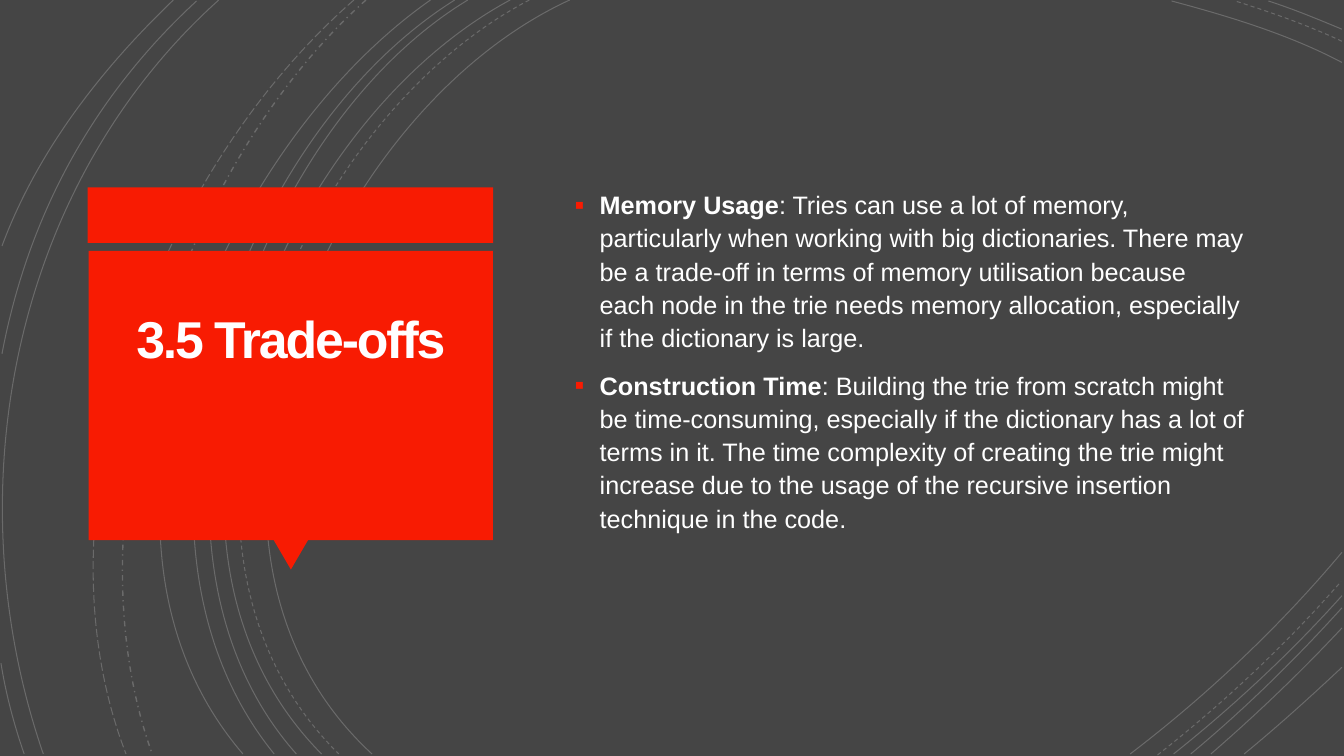
from lxml.etree import SubElement
from pptx import Presentation
from pptx.dml.color import RGBColor
from pptx.enum.dml import MSO_LINE
from pptx.enum.shapes import MSO_SHAPE
from pptx.enum.text import MSO_ANCHOR, PP_ALIGN
from pptx.oxml.ns import qn
from pptx.util import Inches, Pt

COLORS = {"ground": "454545", "accent": "F81B02", "white": "FFFFFF", "heading": "FFFEFF"}
FONT = "Arial"
HEADING = "3.5 Trade-offs"
TRADE_OFFS = [
    ("Memory Usage", ": Tries can use a lot of memory, particularly when working with big "
     "dictionaries. There may be a trade-off in terms of memory utilisation because each node "
     "in the trie needs memory allocation, especially if the dictionary is large."),
    ("Construction Time", ": Building the trie from scratch might be time-consuming, especially "
     "if the dictionary has a lot of terms in it. The time complexity of creating the trie might "
     "increase due to the usage of the recursive insertion technique in the code."),
]
ARCS = {
    MSO_LINE.SOLID: [
        [(5.65, 0), (3.15, 1.15), (1.43, 5.4), (3.69, 7.48)],
        [(13.31, 0.62), (12.78, 0.34), (12.18, 0.16), (11.62, 0.01)],
        [(11.21, 7.48), (11.97, 6.9), (12.69, 6.22), (13.31, 5.48)],
        [(5.06, 0), (2.7, 1.27), (1.1, 5.37), (3.19, 7.48)],
        [(13.31, 0.29), (13.07, 0.19), (12.83, 0.09), (12.58, 0.01)],
        [(11.64, 7.48), (12.23, 7.01), (12.8, 6.48), (13.31, 5.91)],
        [(4.64, 0), (2.44, 1.33), (1.1, 5.41), (2.94, 7.48)],
        [(11.81, 7.48), (12.34, 7.04), (12.84, 6.55), (13.31, 6.03)],
        [(4.51, 0), (2.31, 1.38), (0.97, 5.33), (2.72, 7.48)],
        [(12.01, 7.48), (12.46, 7.09), (12.9, 6.67), (13.31, 6.23)],
        [(4.27, 0), (2.17, 1.47), (0.53, 5.29), (2.41, 7.48)],
        [(12.34, 7.48), (12.67, 7.21), (12.99, 6.92), (13.31, 6.62)],
        [(2.17, 0), (0.11, 1.85), (-0.46, 4.9), (0.43, 7.48)],
        [(1.95, 0.01), (0.92, 0.96), (0.28, 2.14), (0.02, 3.51)],
        [(0.01, 6.58), (0.06, 6.89), (0.14, 7.19), (0.24, 7.48)],
        [(1.72, 0), (1, 0.69), (0.37, 1.5), (0.02, 2.44)],
    ],
    MSO_LINE.DASH: [
        [(5.25, 0), (2.85, 1.25), (1.23, 5.37), (3.36, 7.48)],
        [(13.31, 0.41), (12.97, 0.25), (12.6, 0.12), (12.25, 0.01)],
        [(11.48, 7.49), (12.13, 6.98), (12.75, 6.4), (13.3, 5.77)],
    ],
    MSO_LINE.DASH_DOT: [[(3.63, 0), (1.76, 1.66), (0.65, 5.09), (1.51, 7.48)]],
    MSO_LINE.LONG_DASH: [[(3.51, 0), (1.57, 1.69), (0.29, 4.99), (1.25, 7.48)]],
}
BACKDROP = (MSO_SHAPE.RECTANGLE, (0, 0, 13.33, 7.48), 0, "ground")
CALLOUT = [
    (MSO_SHAPE.RECTANGLE, (0.87, 1.86, 4.02, 0.55), 0, "accent"),
    (MSO_SHAPE.ISOSCELES_TRIANGLE, (2.71, 5.35, 0.35, 0.3), 180, "accent"),
    (MSO_SHAPE.RECTANGLE, (0.88, 2.49, 4.01, 2.87), 0, "accent"),
]
HEADING_BOX = (0.97, 2.57, 3.83, 2.69)
TRADE_OFFS_BOX = (5.6, 0.88, 6.87, 5.74)


def color(name):
    return RGBColor.from_string(COLORS[name])


def box(lengths):
    return [Inches(length) for length in lengths]


def draw_block(shapes, kind, place, turn, fill):
    block = shapes.add_shape(kind, *box(place))
    block.rotation = turn
    block.shadow.inherit = False
    block.fill.solid()
    block.fill.fore_color.rgb = color(fill)
    block.line.fill.background()


def draw_arc(shapes, arc, dash):
    points = [tuple(box(point)) for point in arc]
    builder = shapes.build_freeform(*points[0])
    builder.add_line_segments(points[1:], close=False)
    curve = builder.convert_to_shape()
    outline = curve._element.find(".//" + qn("a:path"))
    bend = SubElement(outline, qn("a:cubicBezTo"))
    for segment in outline.findall(qn("a:lnTo")):
        bend.append(segment[0])
        outline.remove(segment)
    curve.shadow.inherit = False
    curve.fill.background()
    curve.line.color.rgb = color("white")
    curve.line.width = Pt(1 if dash == MSO_LINE.DASH_DOT else 0.75)
    curve.line.dash_style = dash
    tint = curve.line.fill._xPr.find(".//" + qn("a:srgbClr"))
    SubElement(tint, qn("a:alpha"), val="20000")


def add_bullet(paragraph):
    props = paragraph._p.get_or_add_pPr()
    props.set("marL", str(Inches(0.25)))
    props.set("indent", str(-Inches(0.25)))
    SubElement(SubElement(props, qn("a:buClr")), qn("a:srgbClr"), val=COLORS["accent"])
    SubElement(props, qn("a:buSzPct"), val="110000")
    SubElement(props, qn("a:buFont"), typeface=FONT)
    SubElement(props, qn("a:buChar"), char="▪")


deck = Presentation()
deck.slide_width, deck.slide_height = Inches(13.33), Inches(7.5)
slide = deck.slides.add_slide(deck.slide_layouts[5])
slide.background.fill.solid()
slide.background.fill.fore_color.rgb = color("ground")

draw_block(slide.shapes, *BACKDROP)
for dash, arcs in ARCS.items():
    for arc in arcs:
        draw_arc(slide.shapes, arc, dash)
for block in CALLOUT:
    draw_block(slide.shapes, *block)

heading = slide.shapes.title
slide.shapes._spTree.append(heading._element)
heading.left, heading.top, heading.width, heading.height = box(HEADING_BOX)
frame = heading.text_frame
frame.text = HEADING
frame.word_wrap = True
frame.vertical_anchor = MSO_ANCHOR.TOP
frame.margin_left = frame.margin_right = frame.margin_bottom = Inches(0.25)
frame.margin_top = Inches(0.57)
line = frame.paragraphs[0]
line.alignment = PP_ALIGN.CENTER
line.line_spacing = 0.85
line.font.name, line.font.size, line.font.bold = FONT, Pt(37), True
line.font.color.rgb = color("heading")
line.runs[0].font._element.set("spc", "-150")

frame = slide.shapes.add_textbox(*box(TRADE_OFFS_BOX)).text_frame
frame.word_wrap = True
frame.vertical_anchor = MSO_ANCHOR.MIDDLE
frame.margin_bottom = Inches(0.41)
for index, (term, explanation) in enumerate(TRADE_OFFS):
    paragraph = frame.add_paragraph() if index else frame.paragraphs[0]
    paragraph.line_spacing = 1.1
    paragraph.space_before = Pt(10 if index else 0)
    paragraph.font.name, paragraph.font.size = FONT, Pt(18)
    paragraph.font.color.rgb = color("white")
    add_bullet(paragraph)
    for text, bold in ((term, True), (explanation, False)):
        run = paragraph.add_run()
        run.text = text
        run.font.bold = bold

deck.save("out.pptx")
